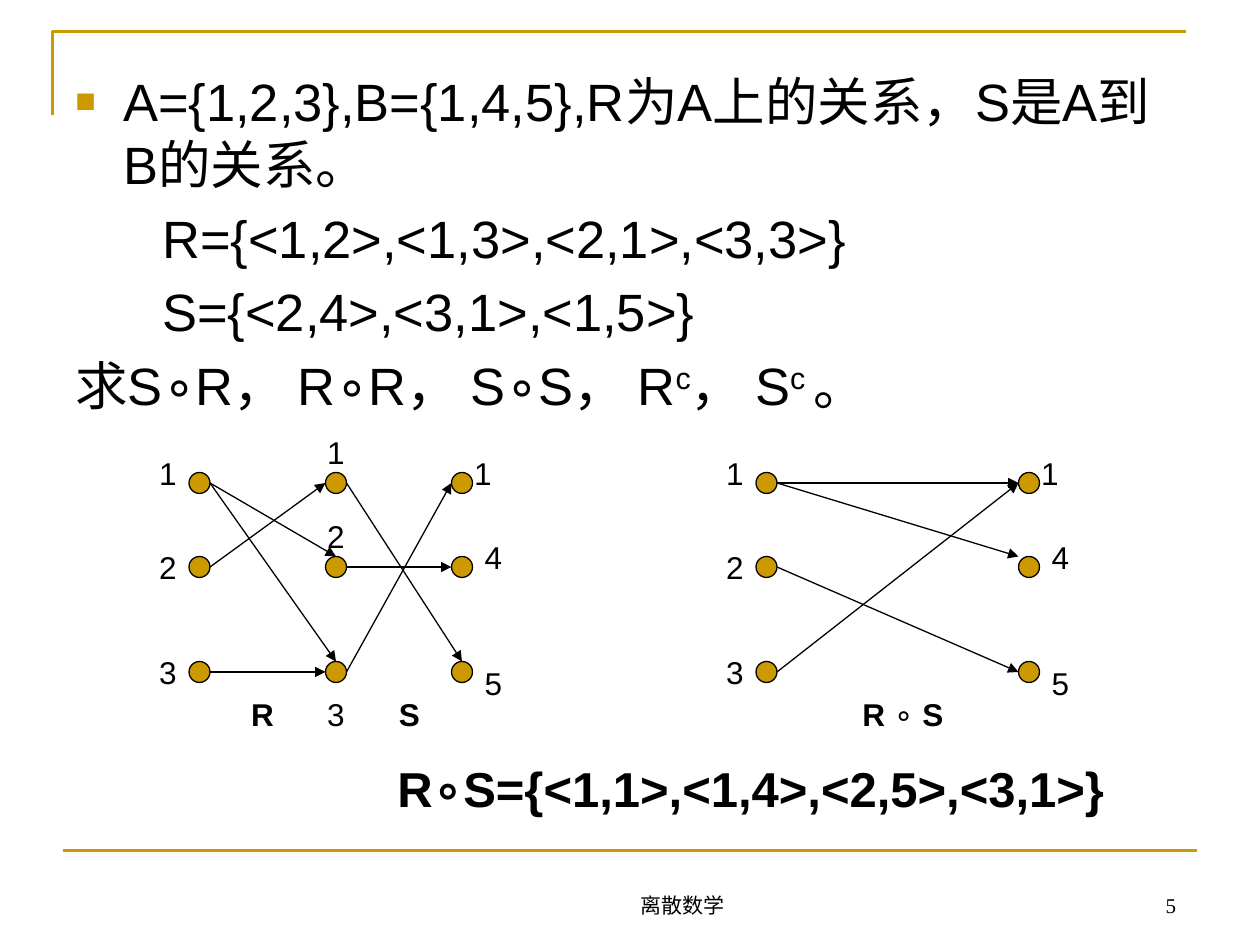
from lxml.etree import SubElement
from pptx import Presentation
from pptx.dml.color import RGBColor
from pptx.enum.shapes import MSO_CONNECTOR, MSO_SHAPE
from pptx.enum.text import MSO_ANCHOR, PP_ALIGN
from pptx.oxml.ns import qn
from pptx.util import Inches, Pt

COLORS = {"gold": "CC9900", "ink": "000000"}
COLUMNS, ROWS = 120, 90  # grid of the slide

# Relation diagrams: node columns and rows, and each label's offset from its node
NODE = 2
NODE_ROWS = (45, 53, 63)
LEFT, MIDDLE, RIGHT = 18, 31, 43
LABELS = {
    "left": [("1", -5, -3), ("2", -5, -2), ("3", -5, -2)],
    "middle": [("1", -2, -5), ("2", -2, -5), ("3", -2, 2)],
    "right": [("1", 0, -3), ("4", 1, -3), ("5", 1, -1)],
}
# Where an arrow meets its target node
SIDE, TOP, CORNER = (0, 1), (1, 0), (0, 0)


class SlideBuilder:
    """Places styled elements on a grid over the current slide."""

    def __init__(self, deck):
        self.unit_x = deck.slide_width / COLUMNS
        self.unit_y = deck.slide_height / ROWS
        self.page = deck.slides.add_slide(deck.slide_layouts[6])
        self.shapes = self.page.shapes

    def point(self, column, row):
        return round(column * self.unit_x), round(row * self.unit_y)

    def color(self, name):
        return RGBColor.from_string(COLORS[name])

    def outline(self, shape, color, width):
        shape.line.color.rgb = self.color(color)
        shape.line.width = Pt(width)

    def start_group(self):
        self.shapes = self.page.shapes.add_group_shape().shapes

    def end_group(self):
        self.shapes = self.page.shapes

    def text(self, area, paragraphs, wrap=True, anchor=MSO_ANCHOR.MIDDLE,
             align=PP_ALIGN.CENTER, space=0, **style):
        """Each paragraph: a list of (text, changes) spans and optional layout."""
        box = self.shapes.add_textbox(*self.point(*area[:2]), *self.point(*area[2:]))
        frame = box.text_frame
        frame.word_wrap, frame.vertical_anchor = wrap, anchor
        for index, (spans, layout) in enumerate(paragraphs):
            para = frame.add_paragraph() if index else frame.paragraphs[0]
            para.alignment = align
            if index and space:
                para.space_before = Pt(space)
            self.indent(para, **layout)
            for words, changes in spans:
                span = para.add_run()
                span.text = words
                values = {"name": "Arial", "size": 18, "bold": False, **style, **changes}
                raised = values.pop("raised", 0)
                values["size"] = Pt(values["size"])
                for key, value in values.items():
                    setattr(span.font, key, value)
                span.font.color.rgb = self.color("ink")
                if raised:
                    span._r.get_or_add_rPr().set("baseline", str(raised * 1000))

    def indent(self, para, margin=0, first=0, bullet=None):
        props = para._p.get_or_add_pPr()
        props.set("marL", str(Inches(margin)))
        props.set("indent", str(Inches(first)))
        if bullet:
            color = SubElement(props, qn("a:buClr"))
            SubElement(color, qn("a:srgbClr"), val=COLORS["gold"])
            SubElement(props, qn("a:buSzPct"), val="65000")
            SubElement(props, qn("a:buFont"), typeface="Arial")
            SubElement(props, qn("a:buChar"), char=bullet)

    def label(self, area, words, **style):
        self.text(area, [([(words, {})], {})], **style)

    def line(self, start, end, color="ink", width=0.75, arrow=False):
        line = self.shapes.add_connector(
            MSO_CONNECTOR.STRAIGHT, *self.point(*start), *self.point(*end))
        self.outline(line, color, width)
        if arrow:
            SubElement(line.line._get_or_add_ln(), qn("a:tailEnd"), type="triangle")
        SubElement(line._element.spPr, qn("a:effectLst"))

    def polyline(self, points, color, width):
        start, *rest = [self.point(*spot) for spot in points]
        builder = self.shapes.build_freeform(*start)
        builder.add_line_segments(rest, close=False)
        shape = builder.convert_to_shape()
        shape.shadow.inherit = False
        shape.fill.background()
        self.outline(shape, color, width)

    def node_column(self, column, labels):
        for row, (words, right, down) in zip(NODE_ROWS, labels):
            node = self.shapes.add_shape(
                MSO_SHAPE.OVAL, *self.point(column, row), *self.point(NODE, NODE))
            node.shadow.inherit = False
            node.fill.solid()
            node.fill.fore_color.rgb = self.color("gold")
            self.outline(node, "ink", 0.75)
            self.label((column + right, row + down, 6, 6), words, wrap=False)

    def arrows(self, source, target, pairs):
        """Each pair: source row, target row, and the spot met on the target."""
        for first, last, (right, down) in pairs:
            self.line((source + NODE, NODE_ROWS[first] + 1),
                      (target + right, NODE_ROWS[last] + down), arrow=True)


def main():
    deck = Presentation()
    deck.slide_width, deck.slide_height = Inches(10), Inches(7.5)
    slide = SlideBuilder(deck)

    # Frame lines and footer
    slide.polyline([(5, 11), (5, 3), (113, 3)], "gold", 1.5)
    slide.line((6, 81), (114, 81), "gold", 1.5)
    footer = {"name": "Times New Roman", "size": 12, "anchor": MSO_ANCHOR.BOTTOM}
    slide.label((46, 82, 38, 6), "离散数学", **footer)
    slide.label((100, 82, 13.2, 6), "5", align=PP_ALIGN.RIGHT, **footer)

    # Problem statement
    hanging = {"margin": 0.38, "first": -0.38}
    formula = {"margin": 0.69}
    raised = {"raised": 30}
    slide.text((6, 6, 108, 70.8), [
        ([("A={1,2,3},B={1,4,5},R为A上的关系，S是A到B的关系。", {})],
         {**hanging, "bullet": "■"}),
        ([("R={<1,2>,<1,3>,<2,1>,<3,3>}", {})], formula),
        ([("S={<2,4>,<3,1>,<1,5>}", {})], formula),
        ([("求S∘R， R∘R， S∘S， R", {}), ("c", raised), ("， S", {}),
          ("c ", raised), ("。", {})], hanging),
    ], anchor=MSO_ANCHOR.TOP, align=PP_ALIGN.LEFT, size=30, space=6)

    # Diagram of R followed by S
    slide.start_group()
    for column, side in ((LEFT, "left"), (MIDDLE, "middle"), (RIGHT, "right")):
        slide.node_column(column, LABELS[side])
    slide.arrows(LEFT, MIDDLE, [(0, 1, TOP), (0, 2, TOP), (1, 0, SIDE), (2, 2, SIDE)])
    slide.arrows(MIDDLE, RIGHT, [(1, 1, SIDE), (2, 0, SIDE), (0, 2, TOP)])
    for column, name in ((19, "R"), (33, "S")):
        slide.label((column, 65, 12, 6), name, bold=True, wrap=False)
    slide.end_group()

    # Diagram of the composition
    shift = 54
    slide.start_group()
    for column, side in ((LEFT, "left"), (RIGHT, "right")):
        slide.node_column(column + shift, LABELS[side])
    slide.arrows(LEFT + shift, RIGHT + shift,
                 [(0, 1, CORNER), (0, 0, SIDE), (1, 2, SIDE), (2, 0, SIDE)])
    slide.text((80, 65, 12, 6),
               [([("R ", {}), ("∘ ", {"bold": False}), ("S", {})], {})],
               bold=True, wrap=False)
    slide.end_group()

    # Result
    slide.label((32, 71, 79, 8), "R∘S={<1,1>,<1,4>,<2,5>,<3,1>}",
                size=28, bold=True, wrap=False)
    deck.save("out.pptx")


if __name__ == "__main__":
    main()
